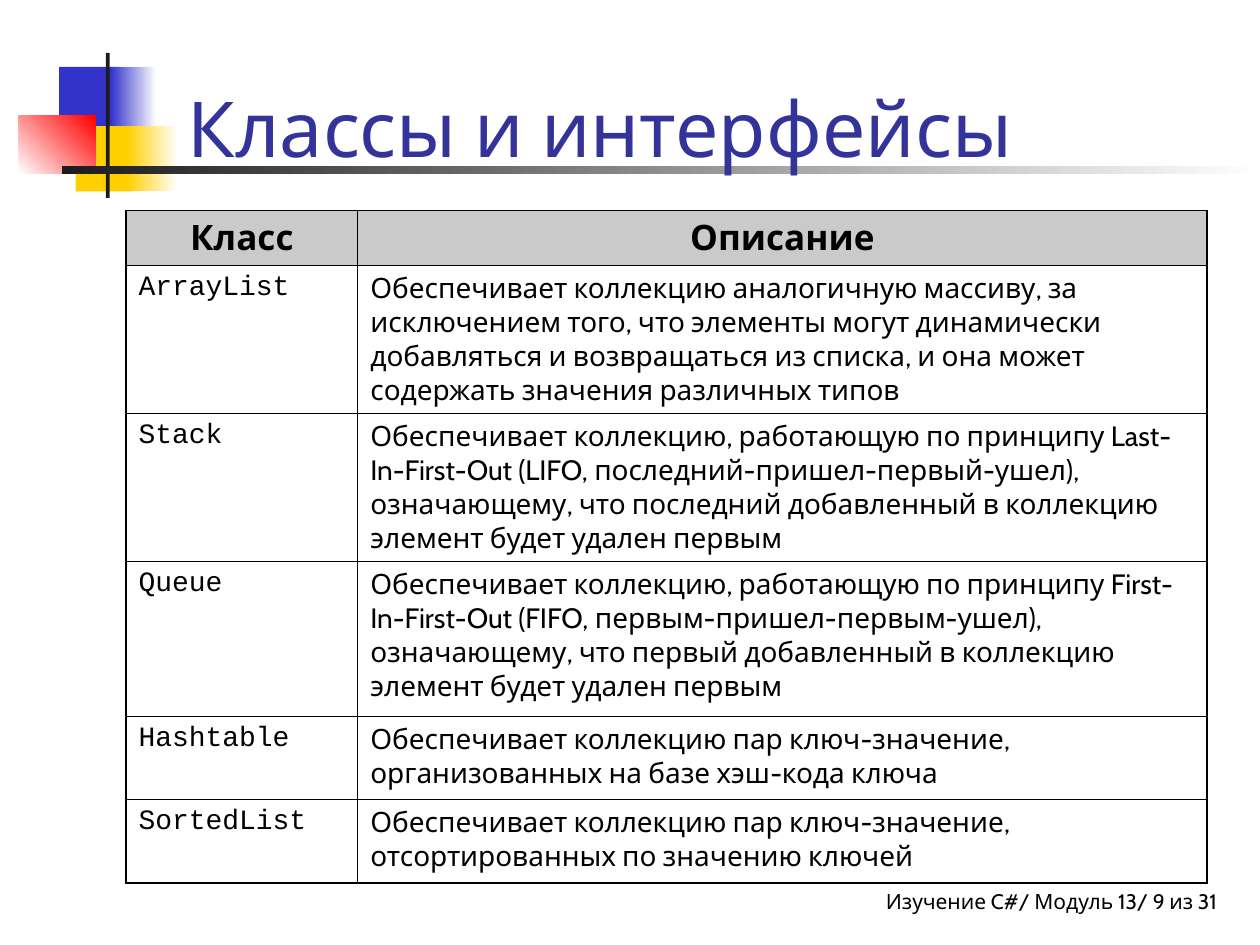
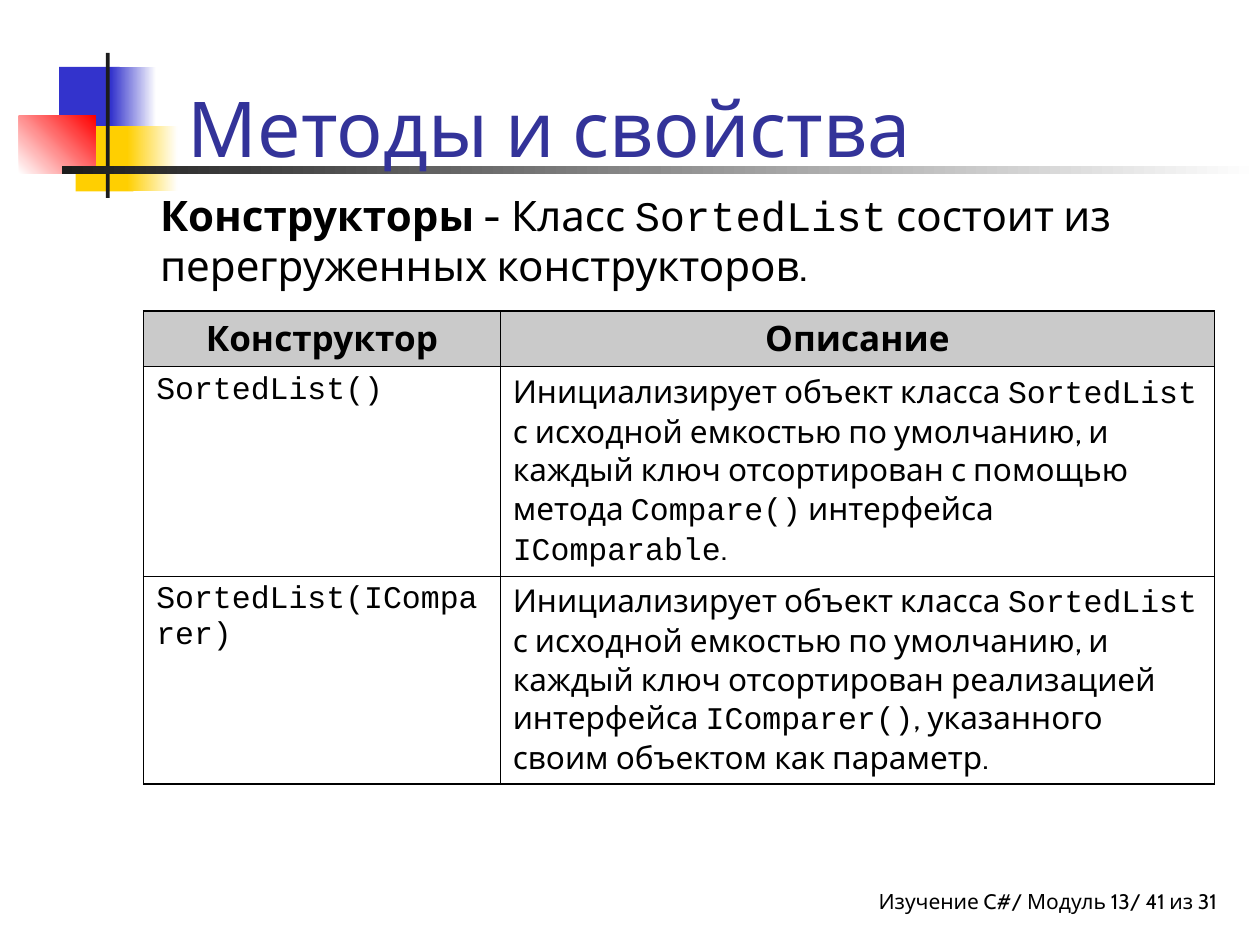
from lxml import etree
from pptx import Presentation
from pptx.dml.color import RGBColor
from pptx.enum.shapes import MSO_SHAPE
from pptx.enum.text import MSO_ANCHOR, MSO_AUTO_SIZE, PP_ALIGN
from pptx.oxml.ns import qn
from pptx.util import Inches, Pt

RECTANGLE = MSO_SHAPE.RECTANGLE
LEFT, CENTER, RIGHT = PP_ALIGN.LEFT, PP_ALIGN.CENTER, PP_ALIGN.RIGHT
TOP, BOTTOM = MSO_ANCHOR.TOP, MSO_ANCHOR.BOTTOM
TITLE_AND_CONTENT, TITLE_ONLY = 1, 5

BLACK = RGBColor(0x00, 0x00, 0x00)
WHITE = RGBColor(0xFF, 0xFF, 0xFF)
INK = RGBColor(0x1C, 0x1C, 0x1C)
TITLE_BLUE = RGBColor(0x33, 0x33, 0x99)
BLUE = RGBColor(0x33, 0x33, 0xCC)
YELLOW = RGBColor(0xFF, 0xCF, 0x01)
RED = RGBColor(0xFF, 0x00, 0x00)
HEADER_GREY = RGBColor(0x96, 0x96, 0x96)

FONT, CODE_FONT = "Cabin", "Courier New"
OUTER_BORDER, INNER_BORDER = Pt(1.08), Pt(0.45)


def code(text):
    return text, {"font": CODE_FONT}


def bold(text):
    return text, {"bold": True}


# box, colours (two make a gradient), gradient angle
DECORATIONS = [
    ((0.47, 0.53, 0.48, 0.52), (BLUE,), 0),
    ((0.88, 0.53, 0.36, 0.52), (BLUE, WHITE), 0),
    ((0.6, 1, 0.46, 0.52), (YELLOW,), 0),
    ((1.01, 1, 0.4, 0.52), (YELLOW, WHITE), 0),
    ((0.15, 0.92, 0.61, 0.46), (WHITE, RED), 45),
    ((0.84, 0.42, 0.03, 1.15), (INK,), 0),
    ((0.49, 1.32, 9.51, 0.06), (INK, WHITE), 0),
]
TITLE_BOX = (1.39, 0.17, 8.52, 1.25)
BODY_BOX = (1.17, 1.45, 8.5, 0.96)
FOOTER_BOX = (4.58, 7, 5.08, 0.33)

SLIDES = [
    {
        "title": "Классы и интерфейсы",
        "number": 9,
        "table": {
            "corner": (1, 1.67),
            "columns": (1.84, 6.74),
            "heights": (0.43, 1.17, 1.17, 1.23, 0.66, 0.66),
            "size": 16,
            "rows": [
                (["Класс"], ["Описание"]),
                ([code("ArrayList")],
                 ["Обеспечивает коллекцию аналогичную массиву, за исключением того, "
                  "что элементы могут динамически добавляться и возвращаться из списка, "
                  "и она может содержать значения различных типов"]),
                ([code("Stack")],
                 ["Обеспечивает коллекцию, работающую по принципу Last-In-First-Out "
                  "(LIFO, последний-пришел-первый-ушел), означающему, что последний "
                  "добавленный в коллекцию элемент будет удален первым"]),
                ([code("Queue")],
                 ["Обеспечивает коллекцию, работающую по принципу First-In-First-Out "
                  "(FIFO, первым-пришел-первым-ушел), означающему, что первый "
                  "добавленный в коллекцию элемент будет удален первым"]),
                ([code("Hashtable")],
                 ["Обеспечивает коллекцию пар ключ-значение, организованных на базе "
                  "хэш-кода ключа"]),
                ([code("SortedList")],
                 ["Обеспечивает коллекцию пар ключ-значение, отсортированных по "
                  "значению ключей"]),
            ],
        },
    },
    {
        "title": "Методы и свойства",
        "number": 41,
        "body": [bold("Конструкторы"), " - Класс ", code("SortedList"),
                 " состоит из перегруженных конструкторов."],
        "table": {
            "corner": (1.14, 2.47),
            "columns": (2.83, 5.67),
            "heights": (0.44, 1.6, 1.6),
            "size": 18,
            "rows": [
                (["Конструктор"], ["Описание"]),
                ([code("SortedList()")],
                 ["Инициализирует объект класса ", code("SortedList"),
                  " с исходной емкостью по умолчанию, и каждый ключ отсортирован "
                  "с помощью метода ", code("Compare()"), " интерфейса ",
                  code("IComparable"), "."]),
                ([code("SortedList(IComparer)")],
                 ["Инициализирует объект класса ", code("SortedList"),
                  " с исходной емкостью по умолчанию, и каждый ключ отсортирован "
                  "реализацией интерфейса ", code("IComparer()"),
                  ", указанного своим объектом как параметр."]),
            ],
        },
    },
]


def write_text(frame, runs, *, size, font=FONT, color=BLACK, bold=False,
               align=LEFT, anchor=TOP):
    """Fill a frame with one paragraph; a run is text or (text, overrides)."""
    frame.word_wrap = True
    frame.vertical_anchor = anchor
    paragraph = frame.paragraphs[0]
    paragraph.alignment = align
    paragraph.space_before = Pt(0)
    for item in runs:
        text, overrides = (item, {}) if isinstance(item, str) else item
        run = paragraph.add_run()
        run.text = text
        run.font.name = overrides.get("font", font)
        run.font.bold = overrides.get("bold", bold)
        run.font.size = Pt(size)
        run.font.color.rgb = color
    return paragraph


def place(shape, box):
    shape.left, shape.top, shape.width, shape.height = map(Inches, box)


def decorate_master(presentation, slide):
    """Draw the corner squares and rules on a slide, then move them to the master."""
    master_tree = presentation.slide_master.shapes.element
    for shape_id, (box, colors, angle) in enumerate(DECORATIONS, start=100):
        shape = slide.shapes.add_shape(RECTANGLE, *map(Inches, box))
        shape.shadow.inherit = False
        shape.line.fill.background()
        if len(colors) == 1:
            shape.fill.solid()
            shape.fill.fore_color.rgb = colors[0]
        else:
            shape.fill.gradient()
            shape.fill.gradient_angle = angle
            for stop, color in zip(shape.fill.gradient_stops, colors):
                stop.color.rgb = color
        shape.element.xpath(".//p:cNvPr")[0].set("id", str(shape_id))
        master_tree.append(shape.element)


def set_border(properties, side, width):
    line = etree.SubElement(properties, qn(f"a:ln{side}"), w=str(int(width)))
    fill = etree.SubElement(line, qn("a:solidFill"))
    etree.SubElement(fill, qn("a:srgbClr"), val=str(BLACK))


def format_cell(cell, edges, is_header):
    properties = cell._tc.get_or_add_tcPr()
    for side, is_outer in edges.items():
        set_border(properties, side, OUTER_BORDER if is_outer else INNER_BORDER)
    if is_header:
        cell.fill.solid()
        cell.fill.fore_color.rgb = HEADER_GREY
        color = properties.find(qn("a:solidFill")).find(qn("a:srgbClr"))
        etree.SubElement(color, qn("a:alpha"), val="50000")
    else:
        cell.fill.background()


def add_class_table(slide, corner, columns, heights, size, rows):
    box = (*corner, sum(columns), sum(heights))
    table = slide.shapes.add_table(len(rows), len(columns), *map(Inches, box)).table
    table.first_row = table.horz_banding = False
    for column, width in zip(table.columns, columns):
        column.width = Inches(width)
    for row_index, (row, height) in enumerate(zip(rows, heights)):
        table.rows[row_index].height = Inches(height)
        is_header = row_index == 0
        for column_index, runs in enumerate(row):
            cell = table.cell(row_index, column_index)
            edges = {"L": column_index == 0, "R": column_index == len(columns) - 1,
                     "T": is_header, "B": row_index == len(rows) - 1}
            format_cell(cell, edges, is_header)
            write_text(cell.text_frame, runs, size=20 if is_header else size,
                       bold=is_header, align=CENTER if is_header else LEFT)


def add_title(slide, text):
    title = slide.shapes.title
    place(title, TITLE_BOX)
    title.text_frame.auto_size = MSO_AUTO_SIZE.NONE
    write_text(title.text_frame, [text], size=44, color=TITLE_BLUE, anchor=BOTTOM)


def add_body(slide, runs):
    body = slide.placeholders[1]
    place(body, BODY_BOX)
    body.text_frame.auto_size = MSO_AUTO_SIZE.NONE
    paragraph = write_text(body.text_frame, runs, size=24)
    properties = paragraph._p.get_or_add_pPr()
    properties.set("marL", "0")
    properties.set("indent", "0")
    etree.SubElement(properties, qn("a:buNone"))


def add_footer(slide, number):
    footer = slide.shapes.add_textbox(*map(Inches, FOOTER_BOX))
    footer.text_frame.margin_right = 0
    write_text(footer.text_frame, [f"Изучение C#/ Модуль 13/ {number} из 31"],
               size=12, align=RIGHT)


def main():
    presentation = Presentation()
    presentation.slide_width, presentation.slide_height = Inches(10), Inches(7.5)
    for content in SLIDES:
        layout = TITLE_AND_CONTENT if "body" in content else TITLE_ONLY
        slide = presentation.slides.add_slide(presentation.slide_layouts[layout])
        add_title(slide, content["title"])
        if "body" in content:
            add_body(slide, content["body"])
        add_class_table(slide, **content["table"])
        add_footer(slide, content["number"])
    decorate_master(presentation, presentation.slides[0])
    presentation.save("out.pptx")


if __name__ == "__main__":
    main()
